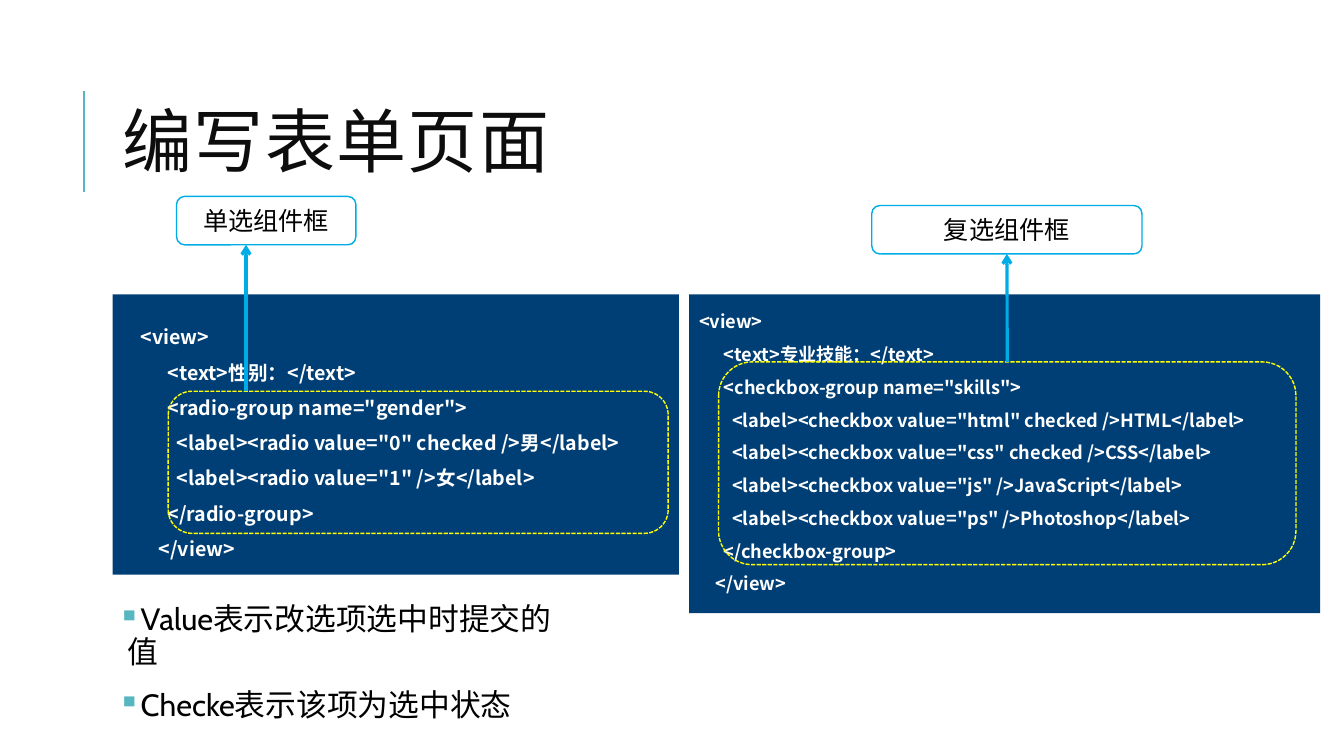
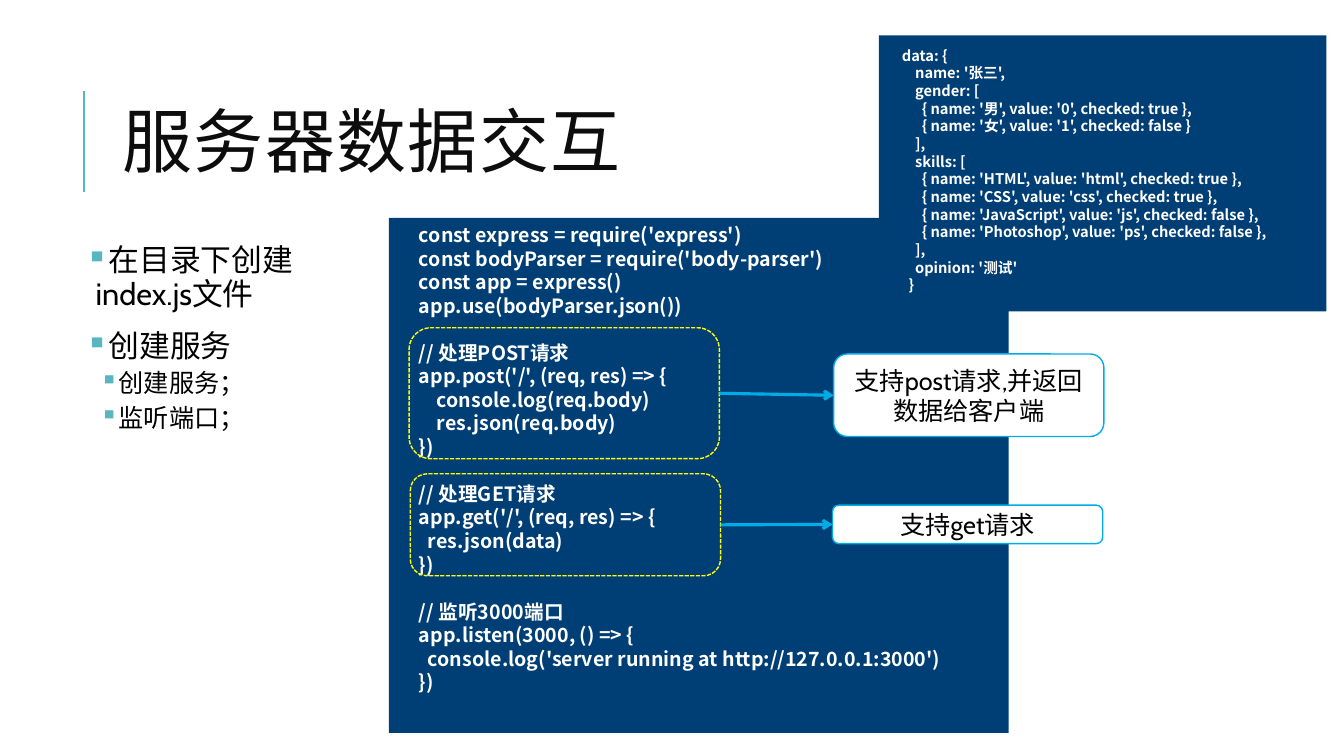
from dataclasses import dataclass

from lxml import etree
from pptx import Presentation
from pptx import util as u
from pptx.dml.color import RGBColor
from pptx.enum import dml, shapes, text
from pptx.oxml import ns

# Shared colours and fonts
NAVY, TEAL, SKY, YELLOW = "003F75", "58B6C0", "00ACE6", "FFFF00"
WHITE, BLACK, INK = "FFFFFF", "000000", "0D0D0D"
TITLE_FONT, BODY_FONT, CODE_FONT = "Calibri", "Cabin", "Noto Sans CJK SC"
TOP, LEFT, BOTTOM, RIGHT = range(4)  # connection sites


@dataclass(frozen=True)
class Box:
    """A place on the slide, in centimetres."""
    left: float
    top: float
    width: float
    height: float

    def lengths(self) -> list:
        return [u.Cm(v) for v in (self.left, self.top, self.width, self.height)]


@dataclass(frozen=True)
class Code:
    panel: Box
    area: Box
    size: float
    spacing: float
    source: str


@dataclass(frozen=True)
class Bullet:
    words: str
    level: int = 0


@dataclass(frozen=True)
class BulletLevel:
    size: float
    margin: float
    hang: float
    before: float
    after: float


BULLET_LEVELS = (BulletLevel(22, 0.25, 0.25, 12, 2), BulletLevel(18, 0.74, 0.38, 2, 4))


# Formatting helpers
def color(hex_string: str) -> RGBColor:
    return RGBColor.from_string(hex_string)


def apply(target, values: dict) -> None:
    for name, value in values.items():
        setattr(target, name, value)


def add_xml(parent, tag: str, **attributes: str):
    return etree.SubElement(parent, ns.qn(tag), attributes)


def add_run(paragraph, words: str, font_name: str, size: float, ink: str, bold: bool = False):
    run = paragraph.add_run()
    run.text = words
    apply(run.font, {"name": font_name, "size": u.Pt(size), "bold": bold})
    run.font.color.rgb = color(ink)
    add_xml(run.font._element, "a:ea", typeface=font_name)
    return run


def add_text_area(slide, box: Box, inset: float = 0.25):
    frame = slide.shapes.add_textbox(*box.lengths()).text_frame
    apply(frame, {"word_wrap": True, "margin_left": u.Cm(inset), "margin_right": u.Cm(inset),
                  "margin_top": u.Cm(0.13), "margin_bottom": u.Cm(0.13)})
    return frame


def add_shape(slide, kind, box: Box, fill: str = "", line: str = ""):
    shape = slide.shapes.add_shape(kind, *box.lengths())
    shape.shadow.inherit = False
    if fill:
        shape.fill.solid()
        shape.fill.fore_color.rgb = color(fill)
    else:
        shape.fill.background()
    if line:
        shape.line.color.rgb = color(line)
        shape.line.width = u.Pt(1)
    else:
        shape.line.fill.background()
    return shape


def add_line(slide, start: tuple, end: tuple, ink: str, width: float):
    ends = [u.Cm(v) for v in (*start, *end)]
    line = slide.shapes.add_connector(shapes.MSO_CONNECTOR.STRAIGHT, *ends)
    line.line.color.rgb = color(ink)
    line.line.width = u.Pt(width)
    add_xml(line._element.spPr, "a:effectLst")
    return line


# Slide parts
def add_titled_slide(deck, title: str):
    slide = deck.slides.add_slide(deck.slide_layouts[6])
    add_line(slide, (2.11, 4.83), (2.11, 2.29), TEAL, 1.5)
    frame = add_text_area(slide, Box(2.84, 1.63, 27, 4.17))
    frame.vertical_anchor = text.MSO_ANCHOR.MIDDLE
    paragraph = frame.paragraphs[0]
    paragraph.line_spacing = 0.8
    run = add_run(paragraph, title, TITLE_FONT, 50, INK)
    run.font._element.set("spc", "100")
    return slide


def add_code(slide, code: Code) -> None:
    """Draws a code panel; an empty source line becomes space before the next one."""
    add_shape(slide, shapes.MSO_SHAPE.RECTANGLE, code.panel, NAVY)
    frame = add_text_area(slide, code.area)
    pitch = u.Pt(code.size * 1.2 * code.spacing)
    paragraph, gap = frame.paragraphs[0], 0
    for number, line in enumerate(code.source.strip("\n").split("\n")):
        if not line:
            gap += pitch
            continue
        if number:
            paragraph = frame.add_paragraph()
        apply(paragraph, {"line_spacing": pitch, "space_before": u.Emu(gap)})
        add_run(paragraph, line, CODE_FONT, code.size, WHITE, bold=True)
        gap = 0


def add_bullets(slide, box: Box, bullets: list[Bullet]) -> None:
    frame = add_text_area(slide, box, inset=0.13)
    for number, bullet in enumerate(bullets):
        level = BULLET_LEVELS[bullet.level]
        paragraph = frame.add_paragraph() if number else frame.paragraphs[0]
        apply(paragraph, {"level": bullet.level, "line_spacing": 0.9,
                          "space_before": u.Pt(level.before if number else 0),
                          "space_after": u.Pt(level.after)})
        properties = paragraph._p.get_or_add_pPr()
        properties.set("marL", str(u.Cm(level.margin)))
        properties.set("indent", str(-u.Cm(level.hang)))
        add_xml(add_xml(properties, "a:buClr"), "a:srgbClr", val=TEAL)
        add_xml(properties, "a:buChar", char="▪")
        add_run(paragraph, bullet.words, BODY_FONT, level.size, BLACK)


def add_highlight(slide, box: Box):
    highlight = add_shape(slide, shapes.MSO_SHAPE.ROUNDED_RECTANGLE, box, line=YELLOW)
    highlight.line.dash_style = dml.MSO_LINE.SQUARE_DOT
    return highlight


def add_callout(slide, box: Box, words: str):
    callout = add_shape(slide, shapes.MSO_SHAPE.ROUNDED_RECTANGLE, box, WHITE, SKY)
    frame = callout.text_frame
    apply(frame, {"word_wrap": True, "vertical_anchor": text.MSO_ANCHOR.MIDDLE})
    frame.paragraphs[0].alignment = text.PP_ALIGN.CENTER
    add_run(frame.paragraphs[0], words, BODY_FONT, 18, BLACK)
    return callout


def add_arrow(slide, start: tuple = (0, 0), end: tuple = (0, 0)):
    arrow = add_line(slide, start, end, SKY, 2.25)
    add_xml(arrow.line._get_or_add_ln(), "a:tailEnd", type="arrow")
    return arrow


def join(slide, highlight, from_site: int, callout, to_site: int) -> None:
    arrow = add_arrow(slide)
    arrow.begin_connect(highlight, from_site)
    arrow.end_connect(callout, to_site)


# Code listings
RADIO = Code(Box(2.84, 7.42, 14.27, 7.06), Box(3.3, 7.77, 13.56, 6.43), 14, 1.5, """
<view>
      <text>性别：</text>
      <radio-group name="gender">
        <label><radio value="0" checked />男</label>
        <label><radio value="1" />女</label>
      </radio-group>
    </view>
""")

CHECKBOX = Code(Box(17.37, 7.42, 15.9, 8.03), Box(17.37, 7.42, 16.05, 7.67), 13, 1.5, """
<view>
      <text>专业技能：</text>
      <checkbox-group name="skills">
        <label><checkbox value="html" checked />HTML</label>
        <label><checkbox value="css" checked />CSS</label>
        <label><checkbox value="js" />JavaScript</label>
        <label><checkbox value="ps" />Photoshop</label>
      </checkbox-group>
    </view>
""")

SERVER = Code(Box(9.8, 5.49, 15.62, 12.98), Box(10.31, 5.49, 15.14, 12.22), 14, 1, """
const express = require('express')
const bodyParser = require('body-parser')
const app = express()
app.use(bodyParser.json())

// 处理POST请求
app.post('/', (req, res) => {
    console.log(req.body)
    res.json(req.body)
})

// 处理GET请求
app.get('/', (req, res) => {
  res.json(data)
})

// 监听3000端口
app.listen(3000, () => {
  console.log('server running at http://127.0.0.1:3000')
})
""")

DATA = Code(Box(22.15, 0.89, 11.28, 6.96), Box(22.48, 1.04, 10.72, 6.53), 10.5, 1, """
data: {
    name: '张三',
    gender: [
      { name: '男', value: '0', checked: true },
      { name: '女', value: '1', checked: false }
    ],
    skills: [
      { name: 'HTML', value: 'html', checked: true },
      { name: 'CSS', value: 'css', checked: true },
      { name: 'JavaScript', value: 'js', checked: false },
      { name: 'Photoshop', value: 'ps', checked: false },
    ],
    opinion: '测试'
  }
""")


# Slides
def build_form_slide(deck) -> None:
    slide = add_titled_slide(deck, "编写表单页面")
    add_code(slide, RADIO)
    add_bullets(slide, Box(2.84, 15.09, 11.89, 2.44),
                [Bullet("Value表示改选项选中时提交的值"), Bullet("Checke表示该项为选中状态")])
    add_code(slide, CHECKBOX)
    add_highlight(slide, Box(4.24, 9.86, 12.6, 3.58))
    add_arrow(slide, (6.2, 9.86), (6.2, 6.17))
    add_callout(slide, Box(4.45, 4.95, 4.52, 1.22), "单选组件框")
    checkboxes = add_highlight(slide, Box(18.11, 9.12, 14.55, 5.11))
    label = add_callout(slide, Box(21.97, 5.18, 6.81, 1.22), "复选组件框")
    join(slide, checkboxes, TOP, label, BOTTOM)


def build_server_slide(deck) -> None:
    slide = add_titled_slide(deck, "服务器数据交互")
    add_bullets(slide, Box(2.03, 6.05, 7.77, 7.82),
                [Bullet("在目录下创建index.js文件"), Bullet("创建服务"),
                 Bullet("创建服务；", 1), Bullet("监听端口；", 1)])
    add_code(slide, SERVER)
    requests = (
        (Box(10.31, 8.26, 7.82, 3.3), Box(21.01, 8.92, 6.81, 2.08), "支持post请求,并返回数据给客户端"),
        (Box(10.34, 11.94, 7.82, 2.57), Box(20.98, 12.73, 6.81, 0.97), "支持get请求"),
    )
    for handler, note, words in requests:
        join(slide, add_highlight(slide, handler), RIGHT, add_callout(slide, note, words), LEFT)
    add_code(slide, DATA)


def main() -> None:
    deck = Presentation()
    apply(deck, {"slide_width": u.Cm(33.87), "slide_height": u.Cm(19.05)})
    build_form_slide(deck)
    build_server_slide(deck)
    deck.save("out.pptx")


if __name__ == "__main__":
    main()
